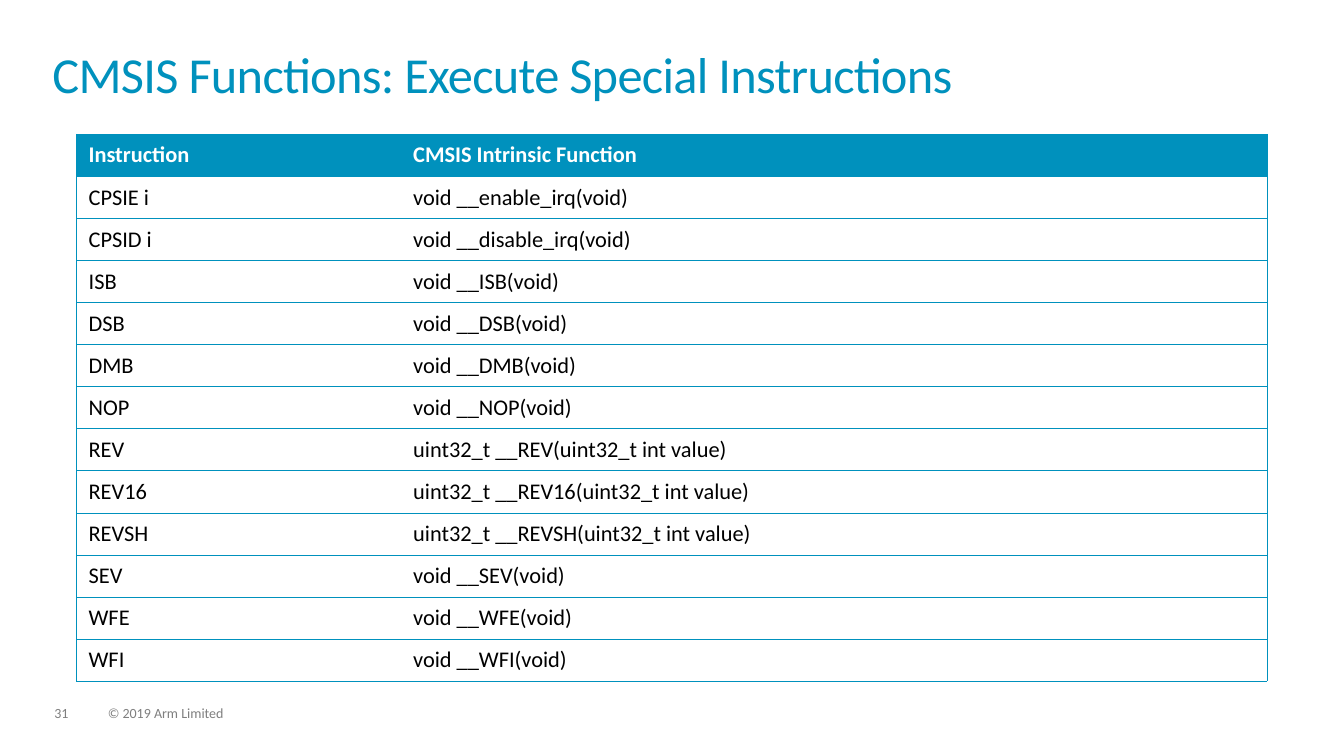
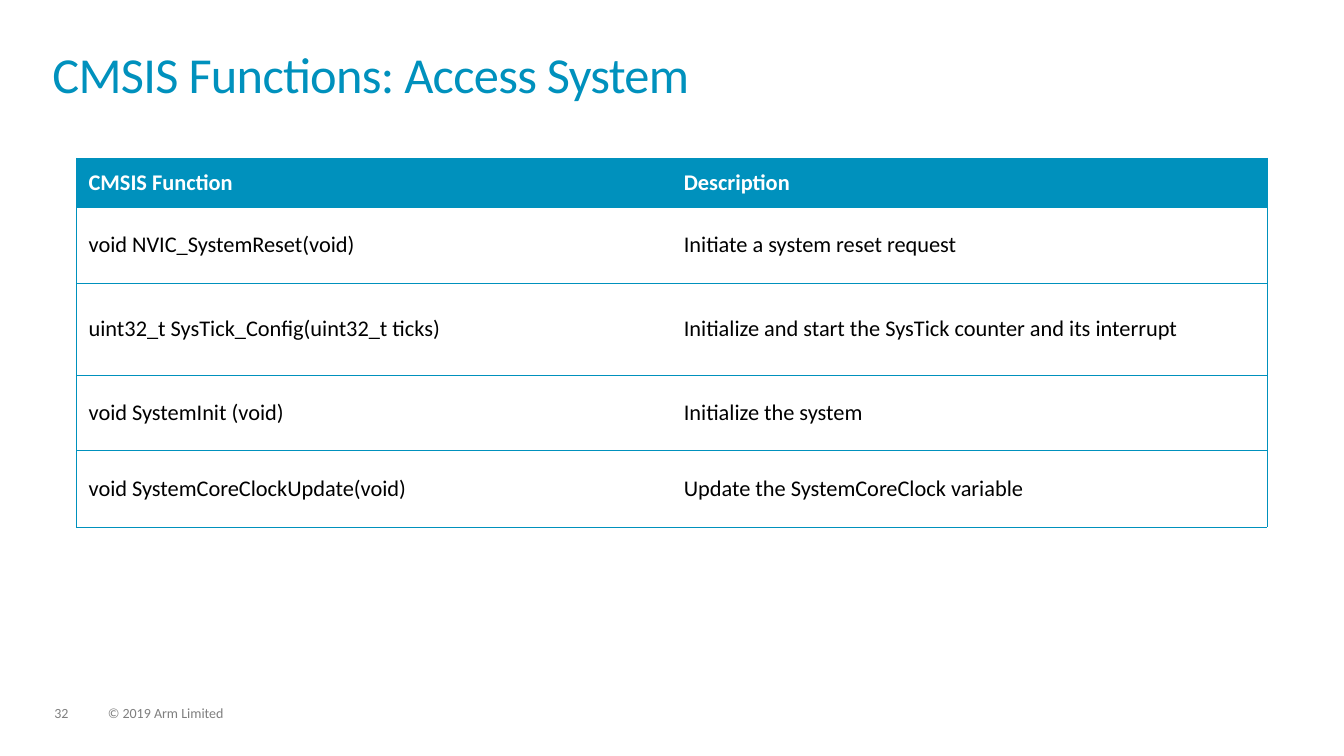
"""Build two slides that tabulate CMSIS functions."""
from lxml.etree import SubElement
from pptx import Presentation
from pptx.dml.color import RGBColor
from pptx.enum.text import MSO_ANCHOR
from pptx.oxml.ns import qn
from pptx.util import Pt

BLUE, GREY, BLACK, WHITE = "0091BD", "7F7F7F", "000000", "FFFFFF"
TABLE_LEFT = 54.72
CELL_FORMAT = {
    "vertical_anchor": MSO_ANCHOR.MIDDLE,
    "margin_left": Pt(8.64),
    "margin_right": Pt(8.64),
    "margin_top": Pt(3.6),
    "margin_bottom": Pt(3.6),
}
BOX_FORMAT = {
    "word_wrap": True,
    "vertical_anchor": MSO_ANCHOR.TOP,
    "margin_left": 0,
    "margin_right": 0,
    "margin_top": 0,
    "margin_bottom": 0,
}
TITLE_FORMAT = {"line_spacing": 0.85}
FOOTER_FORMAT = {"line_spacing": 0.9, "space_after": Pt(6)}

SLIDES = [
    {
        "title": "CMSIS Functions: Execute Special Instructions",
        "number": "31",
        "top": 95.9,
        "columns": [231.84, 618.48],
        "heights": [30.07] * 13,
        "rows": [
            ("Instruction", "CMSIS Intrinsic Function"),
            ("CPSIE i", "void __enable_irq(void)"),
            ("CPSID i", "void __disable_irq(void)"),
            ("ISB", "void __ISB(void)"),
            ("DSB", "void __DSB(void)"),
            ("DMB", "void __DMB(void)"),
            ("NOP", "void __NOP(void)"),
            ("REV", "uint32_t __REV(uint32_t int value)"),
            ("REV16", "uint32_t __REV16(uint32_t int value)"),
            ("REVSH", "uint32_t __REVSH(uint32_t int value)"),
            ("SEV", "void __SEV(void)"),
            ("WFE", "void __WFE(void)"),
            ("WFI", "void __WFI(void)"),
        ],
    },
    {
        "title": "CMSIS Functions: Access System",
        "number": "32",
        "top": 113,
        "columns": [425.16, 425.16],
        "heights": [34.9, 54.4, 65.6, 53.8, 54.7],
        "rows": [
            ("CMSIS Function", "Description"),
            ("void NVIC_SystemReset(void)", "Initiate a system reset request"),
            ("uint32_t SysTick_Config(uint32_t ticks)",
             "Initialize and start the SysTick counter and its interrupt"),
            ("void SystemInit (void)", "Initialize the system"),
            ("void SystemCoreClockUpdate(void)", "Update the SystemCoreClock variable"),
        ],
    },
]


def color(value):
    """Turn a hex string into a colour."""
    return RGBColor.from_string(value)


def write(paragraph, text, size, text_color, bold=False):
    """Put one formatted run into a paragraph and return it."""
    run = paragraph.add_run()
    run.text = text
    for name, value in {"name": "Calibri", "size": Pt(size), "bold": bold}.items():
        setattr(run.font, name, value)
    run.font.color.rgb = color(text_color)
    return run


presentation = Presentation()
presentation.slide_width, presentation.slide_height = Pt(960), Pt(540)

for content in SLIDES:
    slide = presentation.slides.add_slide(presentation.slide_layouts[6])

    boxes = [
        (content["number"], (38.88, 504.72, 24.48, 10.8), 10, GREY, FOOTER_FORMAT, 0),
        ("© 2019 Arm Limited", (77.04, 504.72, 365, 10.8), 10, GREY, FOOTER_FORMAT, 0),
        (content["title"], (37.44, 37.44, 884.16, 51.84), 36, BLUE, TITLE_FORMAT, -50),
    ]
    for text, position, size, text_color, paragraph_format, tracking in boxes:
        frame = slide.shapes.add_textbox(*map(Pt, position)).text_frame
        for name, value in BOX_FORMAT.items():
            setattr(frame, name, value)
        paragraph = frame.paragraphs[0]
        for name, value in paragraph_format.items():
            setattr(paragraph, name, value)
        run = write(paragraph, text, size, text_color)
        if tracking:
            run._r.get_or_add_rPr().set("spc", str(tracking))

    rows, columns, heights = content["rows"], content["columns"], content["heights"]
    table = slide.shapes.add_table(
        len(rows), len(columns), Pt(TABLE_LEFT), Pt(content["top"]),
        Pt(sum(columns)), Pt(sum(heights))).table
    table.horz_banding = False
    for column, width in zip(table.columns, columns):
        column.width = Pt(width)
    for row, height in zip(table.rows, heights):
        row.height = Pt(height)

    for row_index, texts in enumerate(rows):
        header = row_index == 0
        for column_index, text in enumerate(texts):
            cell = table.cell(row_index, column_index)
            for name, value in CELL_FORMAT.items():
                setattr(cell, name, value)
            write(cell.text_frame.paragraphs[0], text, 16, WHITE if header else BLACK, header)

            edges = {
                "a:lnL": column_index == 0,
                "a:lnR": column_index == len(columns) - 1,
                "a:lnT": True,
                "a:lnB": True,
            }
            for edge, visible in edges.items():
                line = SubElement(cell._tc.get_or_add_tcPr(), qn(edge), w=str(Pt(0.5)))
                if visible:
                    fill = SubElement(line, qn("a:solidFill"))
                    SubElement(fill, qn("a:srgbClr"), val=BLUE)
                else:
                    SubElement(line, qn("a:noFill"))
            if header:
                cell.fill.solid()
                cell.fill.fore_color.rgb = color(BLUE)
            else:
                cell.fill.background()

presentation.save("out.pptx")
